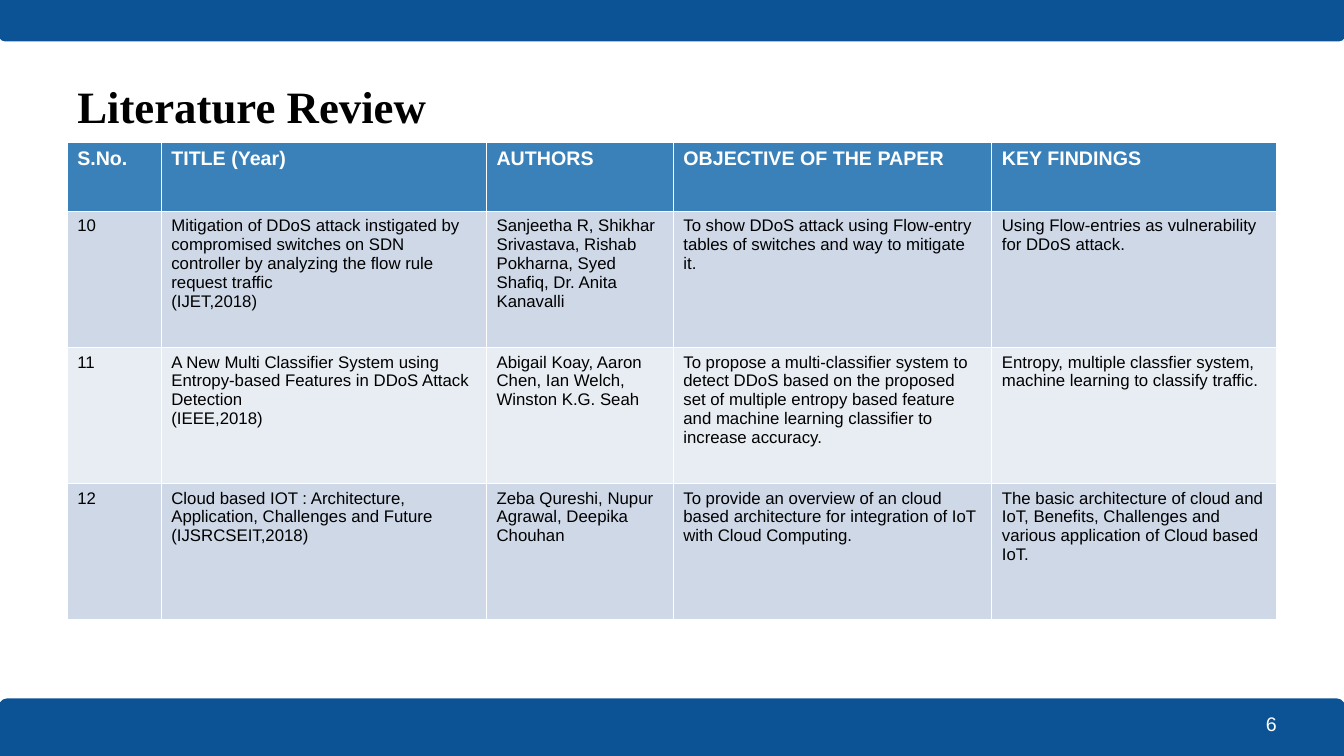
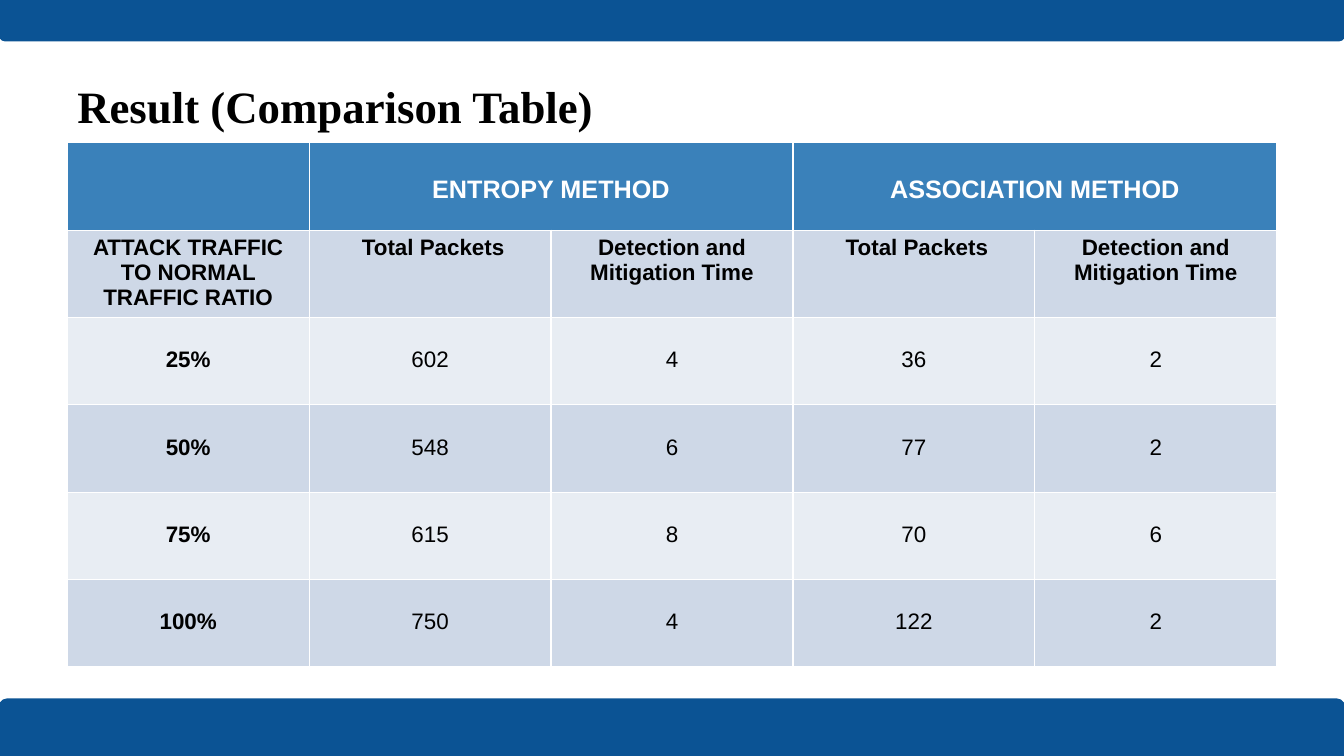
from dataclasses import dataclass

from pptx import Presentation
from pptx.dml.color import RGBColor
from pptx.enum.shapes import MSO_SHAPE
from pptx.enum.text import MSO_ANCHOR, MSO_AUTO_SIZE, PP_ALIGN
from pptx.util import Inches, Pt

LEFT, CENTER = PP_ALIGN.LEFT, PP_ALIGN.CENTER
BOTTOM = MSO_ANCHOR.BOTTOM
FIXED = MSO_AUTO_SIZE.NONE
BAND = MSO_SHAPE.ROUND_2_SAME_RECTANGLE
COLS, ROWS = 20, 90
TITLE_ONLY = 5


@dataclass(frozen=True)
class Theme:
    band: str = "0B5394"
    head: str = "3A81BA"
    odd: str = "CED8E7"
    even: str = "E8EDF3"
    ink: str = "000000"
    paper: str = "FFFFFF"
    serif: str = "Times New Roman"
    sans: str = "Arial"
    title: int = 32
    large: int = 18
    value: int = 16
    label: int = 14
    small: int = 12


@dataclass(frozen=True)
class Style:
    size: int
    color: str
    bold: bool = False
    font: str = Theme.sans
    align: PP_ALIGN = LEFT
    skip: int = 0


THEME = Theme()
TITLE = Style(THEME.title, THEME.ink, True, THEME.serif)
NUMBER = Style(THEME.label, THEME.paper)
HEAD = Style(THEME.label, THEME.paper, True)
BODY = Style(THEME.small, THEME.ink)
METHOD = Style(THEME.large, THEME.paper, True, align=CENTER, skip=1)
FIELD = Style(THEME.value, THEME.ink, True, align=CENTER)
RATIO = Style(THEME.value, THEME.ink, True, align=CENTER, skip=1)
VALUE = Style(THEME.value, THEME.ink, align=CENTER, skip=1)

PAPERS = [
    ["S.No.", "TITLE (Year)", "AUTHORS", "OBJECTIVE OF THE PAPER", "KEY FINDINGS"],
    [
        "10",
        "Mitigation of DDoS attack instigated by compromised switches on SDN "
        "controller by analyzing the flow rule request traffic\n(IJET,2018)",
        "Sanjeetha R, Shikhar Srivastava, Rishab Pokharna, Syed Shafiq, "
        "Dr. Anita Kanavalli",
        "To show DDoS attack using Flow-entry tables of switches and way to "
        "mitigate it.",
        "Using Flow-entries as vulnerability for DDoS attack.",
    ],
    [
        "11",
        "A New Multi Classifier System using Entropy-based Features in DDoS "
        "Attack Detection\n(IEEE,2018)",
        "Abigail Koay, Aaron Chen, Ian Welch, Winston K.G. Seah",
        "To propose a multi-classifier system to detect DDoS based on the "
        "proposed set of multiple entropy based feature and machine learning "
        "classifier to increase accuracy.",
        "Entropy, multiple classfier system, machine learning to classify traffic.",
    ],
    [
        "12",
        "Cloud based IOT : Architecture, Application, Challenges and Future\n"
        "(IJSRCSEIT,2018)",
        "Zeba Qureshi, Nupur Agrawal, Deepika Chouhan",
        "To provide an overview of an cloud based architecture for integration "
        "of IoT with Cloud Computing.",
        "The basic architecture of cloud and IoT, Benefits, Challenges and "
        "various application of Cloud based IoT.",
    ],
]
RESULTS = [
    ["", "ENTROPY METHOD", "", "ASSOCIATION METHOD", ""],
    ["ATTACK TRAFFIC TO NORMAL TRAFFIC RATIO"]
    + [" Total Packets", "Detection and Mitigation Time"] * 2,
    ["25%", "602", "4", "36", "2"],
    ["50%", "548", "6", "77", "2"],
    ["75%", "615", "8", "70", "6"],
    ["100%", "750", "4", "122", "2"],
]


def paper_style(row, col):
    return BODY if row else HEAD


def result_style(row, col):
    if row < 2:
        return FIELD if row else METHOD
    return VALUE if col else RATIO


class Deck:
    def __init__(self):
        self.prs = Presentation()
        self.prs.slide_width = Inches(13.33)
        self.prs.slide_height = Inches(7.5)
        self.layout = self.prs.slide_layouts[TITLE_ONLY]
        for holder in list(self.layout.placeholders):
            if holder.placeholder_format.idx:
                holder.element.getparent().remove(holder.element)
        self.slide = None

    def across(self, cols):
        return round(self.prs.slide_width * cols / COLS)

    def down(self, rows):
        return round(self.prs.slide_height * rows / ROWS)

    def box(self, left, top, width, height):
        return (self.across(left), self.down(top),
                self.across(width), self.down(height))

    def page(self, title):
        self.slide = self.prs.slides.add_slide(self.layout)
        if len(self.prs.slides) == 1:
            bands = [self.band(83.28, 6.72), self.band(0, 4.8, 180)]
            for band in bands:
                self.layout.shapes.element.append(band.element)
        holder = self.slide.shapes.title
        holder.left, holder.top, holder.width, holder.height = self.box(1, 8, 18, 9)
        frame = holder.text_frame
        frame.auto_size = FIXED
        frame.vertical_anchor = BOTTOM
        frame.margin_left = frame.margin_right = Inches(0.1)
        frame.margin_top = frame.margin_bottom = Inches(0.1)
        self.put(frame, title, TITLE)

    def band(self, top, height, turn=0):
        shape = self.slide.shapes.add_shape(BAND, *self.box(0, top, COLS, height))
        shape.adjustments[0] = 0.125
        shape.adjustments[1] = 0
        shape.rotation = turn
        shape.shadow.inherit = False
        color = RGBColor.from_string(THEME.band)
        shape.fill.solid()
        shape.fill.fore_color.rgb = color
        shape.line.color.rgb = color
        shape.line.width = Pt(1.5)
        return shape

    def put(self, frame, text, style):
        for index, line in enumerate(text.split("\n")):
            para = frame.add_paragraph() if index else frame.paragraphs[0]
            para.alignment = style.align
            run = para.add_run()
            run.text = line
            font = run.font
            font.name = style.font
            font.size = Pt(style.size)
            font.bold = style.bold
            font.color.rgb = RGBColor.from_string(style.color)

    def number(self, text):
        label = self.slide.shapes.add_textbox(*self.box(18.69, 84.12, 0.81, 4.08))
        label.text_frame.word_wrap = True
        self.put(label.text_frame, text, NUMBER)

    def table(self, data, widths, heights, pick, spans=()):
        place = self.box(1, 17, sum(widths), sum(heights))
        grid = self.slide.shapes.add_table(len(heights), len(widths), *place).table
        for col, width in zip(grid.columns, widths):
            col.width = self.across(width)
        for row, height in zip(grid.rows, heights):
            row.height = self.down(height)
        for col in spans:
            grid.cell(0, col).merge(grid.cell(0, col + 1))
        for y, line in enumerate(data):
            tone = (THEME.odd if y % 2 else THEME.even) if y else THEME.head
            for x, text in enumerate(line):
                cell = grid.cell(y, x)
                cell.fill.solid()
                cell.fill.fore_color.rgb = RGBColor.from_string(tone)
                if text:
                    style = pick(y, x)
                    cell.margin_top = Inches(0.05) + Pt(style.skip * style.size * 1.12)
                    self.put(cell.text_frame, text, style)


def main():
    deck = Deck()
    deck.page("Literature Review")
    deck.table(PAPERS, [1.4, 4.84, 2.78, 4.74, 4.24], [8.2] + [16.2] * 3, paper_style)
    deck.number("6")
    deck.page("Result (Comparison Table)")
    deck.table(RESULTS, [3.6] * 5, [10.4] * 6, result_style, spans=(1, 3))
    deck.prs.save("out.pptx")


if __name__ == "__main__":
    main()
